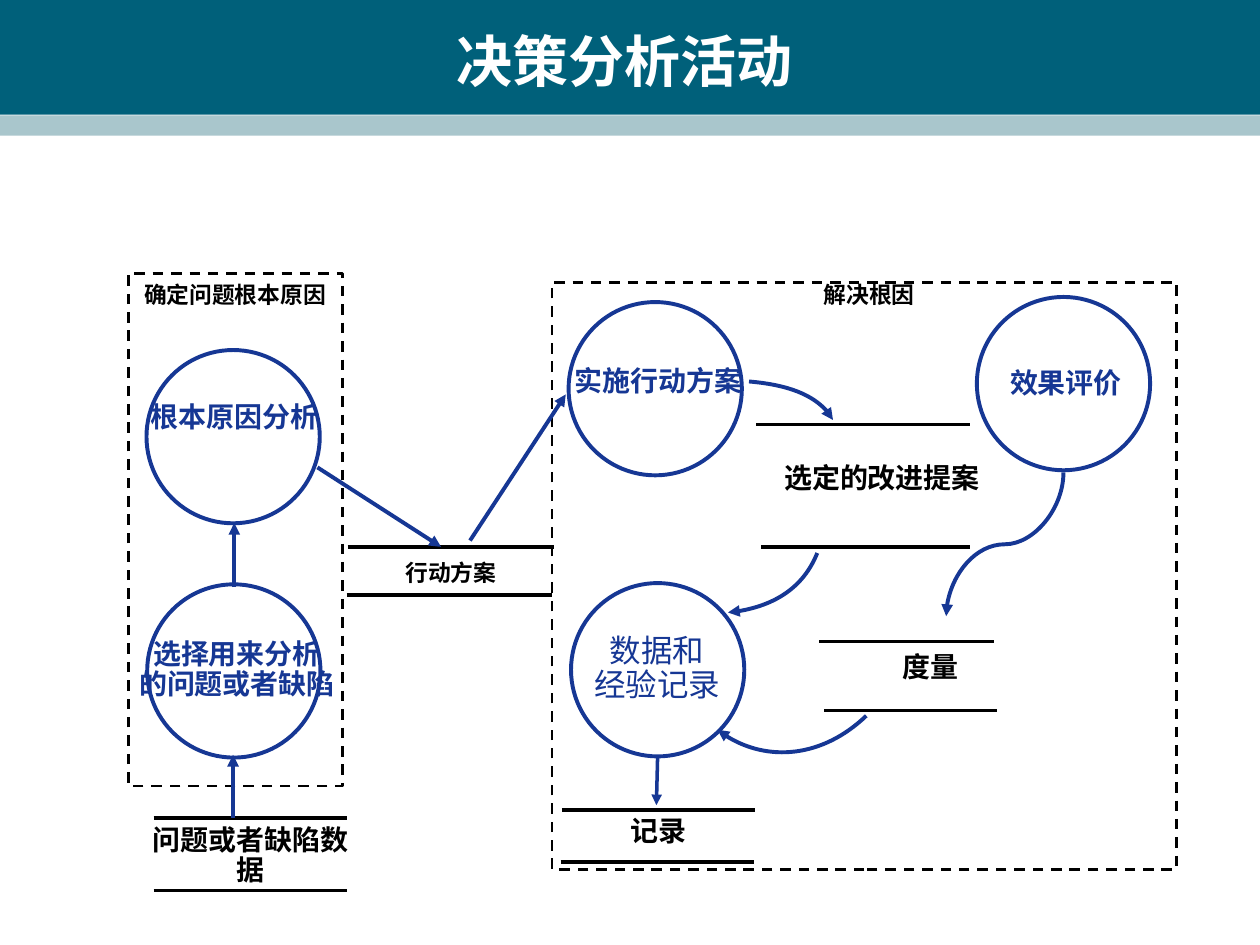
from lxml.etree import SubElement
from pptx import Presentation
from pptx.dml.color import RGBColor
from pptx.enum.dml import MSO_LINE
from pptx.enum.shapes import MSO_CONNECTOR as LINK, MSO_SHAPE as SHAPE
from pptx.enum.text import MSO_ANCHOR as ANCHOR, PP_ALIGN as ALIGN
from pptx.oxml.ns import qn
from pptx.util import Pt

THEME = {
    "band": "00607A", "stripe": "A9C6CC", "white": "FFFFFF",
    "black": "000000", "blue": "163794",
    "title": 32, "large": 18, "body": 16, "small": 13,
    "thin": 1.5, "rule": 2, "stroke": 2.25,
    "sans": "Arial", "serif": "Times New Roman", "heading": "DejaVu Sans",
}
BODY = dict(size="body", color="black", bold=True, spacing=0.9)
STEP = dict(BODY, color="blue")
STORE = dict(BODY, spacing=0.85)
SMALL = dict(STORE, size="small")

# left, top, width, height
BANDS = [((0, 0, 720, 65.5), "band"), ((0, 66, 720, 11.5), "stripe")]
FRAMES = [(315.4, 161.3, 357.1, 335.5), (73.4, 156.2, 122.4, 293)]

# lines of text, box, style
LABELS = [
    (["决策分析活动"], (23.8, 12.2, 666, 44.6),
     dict(size="title", color="white", bold=True, font="heading", anchor=ANCHOR.MIDDLE, wrap=True)),
    (["选择用来分析", "的问题或者缺陷"], (20.9, 362.2, 229, 63.4), STEP),
    (["根本原因分析"], (77.8, 226.8, 112.3, 24.5), dict(STEP, font="serif")),
    (["实施行动方案"], (320.4, 206.6, 111.6, 24.5), STEP),
    (["效果评价"], (569.5, 207.4, 79.2, 24.5), STEP),
    (["数据和", "经验记录"], (331.9, 359.3, 87.1, 46.8),
     dict(STEP, size="large", font="serif", bold=False)),
    (["选定的改进提案"], (431.3, 262.8, 145.4, 23.8), dict(STORE, wrap=True)),
    (["记录"], (306.7, 463.7, 139.7, 24.5), dict(BODY, wrap=True)),
    (["度量"], (508.3, 370.8, 46.8, 23.8), STORE),
    (["确定问题根本原因"], (73.4, 158.4, 121.7, 21.6), dict(SMALL, inset=(8, 4.3))),
    (["解决根因"], (462.2, 158.4, 69.1, 21.6), dict(SMALL, inset=(8, 4.3))),
    (["问题或者缺陷数据"], (73.4, 468.7, 139.7, 42.5), dict(BODY, wrap=True)),
    (["行动方案"], (231.8, 319, 52.6, 15.8),
     dict(SMALL, spacing=1, inset=(0, 0), align=ALIGN.LEFT)),
]

DIAMETER = 99
CIRCLE_CENTRES = [(133.2, 249.5), (133.6, 383.4), (374.4, 222.1),
                  (607.7, 219.2), (375.8, 382.7)]

# left, right, y, weight
STORE_RULES = [
    (432, 554.4, 242.6, "rule"), (434.9, 554.4, 312.5, "rule"),
    (468, 568.1, 366.5, "rule"), (470.9, 569.5, 406.1, "rule"),
    (321.1, 431.3, 463, "rule"), (320.4, 430.6, 492.5, "rule"),
    (87.8, 198, 467.3, "rule"), (87.8, 198, 509, "rule"),
    (198.7, 316.8, 312.5, "stroke"), (198, 315.4, 339.8, "stroke"),
]

# start, end, weight; the head is at the end
ARROWS = [
    ((375.8, 432), (375.1, 460.1), "rule"),
    ((133.9, 335.5), (133.9, 298.8), "stroke"),
    ((133.2, 467.3), (133.2, 431.3), "stroke"),
    ((181.4, 267.1), (252, 312.5), "stroke"),
    ((268.6, 308.9), (323.3, 225.4), "stroke"),
]
S_ARROW = ((607.7, 270), (540.7, 352.1))

# start, two control points, end
ARCS = [
    [(466.6, 316.1), (459.4, 335.5), (439.2, 348.5), (416.2, 349.9)],
    [(494.6, 409), (470.2, 433.4), (434.2, 435.6), (409.7, 416.9)],
    [(427.7, 218.2), (451.4, 219.6), (470.2, 228.2), (475.9, 239.8)],
]


def rgb(name):
    return RGBColor.from_string(THEME[name])


def pts(values):
    return [Pt(v) for v in values]


def style_line(shape, color, weight):
    shape.line.color.rgb = rgb(color)
    shape.line.width = Pt(THEME[weight])


def add_head(shape):
    SubElement(shape.line._get_or_add_ln(), qn("a:tailEnd"), type="triangle")


def add_block(shapes, kind, box, fill=None):
    sp = shapes.add_shape(kind, *pts(box))
    sp.shadow.inherit = False
    if fill:
        sp.fill.solid()
        sp.fill.fore_color.rgb = rgb(fill)
    else:
        sp.fill.background()
    sp.line.fill.background()
    return sp


def add_label(shapes, lines, box, size, color, bold, font="sans", spacing=1,
              inset=(7.2, 3.6), align=ALIGN.CENTER, anchor=ANCHOR.TOP, wrap=False):
    tf = shapes.add_textbox(*pts(box)).text_frame
    tf.word_wrap = wrap
    tf.vertical_anchor = anchor
    tf.margin_left = tf.margin_right = Pt(inset[0])
    tf.margin_top = tf.margin_bottom = Pt(inset[1])
    p = tf.paragraphs[0]
    p.alignment = align
    p.line_spacing = spacing
    for i, line in enumerate(lines):
        if i:
            p.add_line_break()
        r = p.add_run()
        r.text = line
        r.font.name = THEME[font]
        r.font.size = Pt(THEME[size])
        r.font.bold = bold
        r.font.color.rgb = rgb(color)


def add_link(shapes, start, end, color, weight, kind=LINK.STRAIGHT):
    cxn = shapes.add_connector(kind, *pts((*start, *end)))
    style_line(cxn, color, weight)
    SubElement(cxn._element.spPr, qn("a:effectLst"))
    return cxn


def add_s_arrow(shapes, start, end):
    """Curved connector that leaves and arrives vertically: a quarter-turned one."""
    (x1, y1), (x2, y2) = start, end
    cx, cy = (x1 + x2) / 2, (y1 + y2) / 2
    half_w, half_h = (y2 - y1) / 2, (x1 - x2) / 2
    cxn = add_link(shapes, (cx - half_w, cy - half_h), (cx + half_w, cy + half_h),
                   "blue", "stroke", LINK.CURVE)
    cxn._element.spPr.find(qn("a:xfrm")).set("rot", "5400000")
    add_head(cxn)


def add_arc(shapes, points):
    """Open outline whose three segments are merged into one Bezier curve."""
    builder = shapes.build_freeform(*points[0], scale=Pt(1))
    builder.add_line_segments(points[1:], close=False)
    sp = builder.convert_to_shape()
    sp.shadow.inherit = False
    sp.fill.background()
    style_line(sp, "blue", "stroke")
    add_head(sp)
    outline = next(sp._element.iter(qn("a:path")))
    segments = outline.findall(qn("a:lnTo"))
    curve = SubElement(outline, qn("a:cubicBezTo"))
    for segment in segments:
        curve.append(segment[0])
        outline.remove(segment)


def main():
    prs = Presentation()
    prs.slide_width, prs.slide_height = Pt(720), Pt(540)
    shapes = prs.slides.add_slide(prs.slide_layouts[6]).shapes

    for box, fill in BANDS:
        add_block(shapes, SHAPE.RECTANGLE, box, fill)
    for box in FRAMES:
        frame = add_block(shapes, SHAPE.RECTANGLE, box, "white")
        style_line(frame, "black", "thin")
        frame.line.dash_style = MSO_LINE.DASH
    for lines, box, style in LABELS:
        add_label(shapes, lines, box, **style)
    for x, y in CIRCLE_CENTRES:
        box = (x - DIAMETER / 2, y - DIAMETER / 2, DIAMETER, DIAMETER)
        style_line(add_block(shapes, SHAPE.OVAL, box), "blue", "stroke")
    for left, right, y, weight in STORE_RULES:
        add_link(shapes, (left, y), (right, y), "black", weight)
    for start, end, weight in ARROWS:
        add_head(add_link(shapes, start, end, "blue", weight))
    add_s_arrow(shapes, *S_ARROW)
    for points in ARCS:
        add_arc(shapes, points)
    prs.save("out.pptx")


if __name__ == "__main__":
    main()
